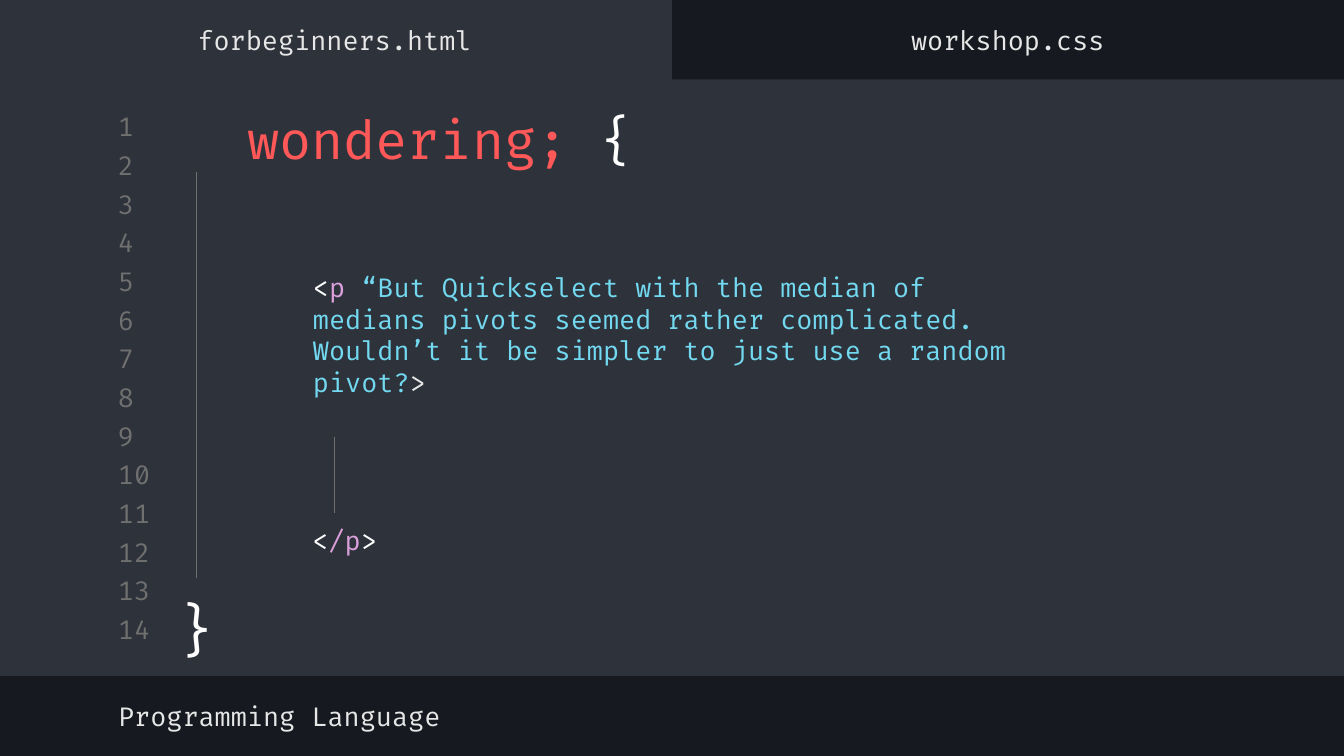
from pptx import Presentation
from pptx.dml.color import RGBColor
from pptx.enum.shapes import MSO_CONNECTOR as Connector, MSO_SHAPE as Preset
from pptx.enum.text import MSO_ANCHOR as Anchor, PP_ALIGN as Align
from pptx.oxml.ns import qn
from pptx.util import Inches, Pt
from lxml.etree import SubElement

THEME = {
    "font": "Fira Code",
    "dark": "16191F", "panel": "2E323B", "gray": "707070",
    "light": "E7E7E7", "white": "FFFFFF",
    "red": "FF5858", "purple": "DBA0DB", "blue": "72D9F0",
    "body": 14, "title": 28, "brace": 30, "line": 0.75,
}

PANELS = [(0, 0.59, 10, 4.44), (0, 0, 5, 0.65)]
GUIDES = [(1.46, 1.28, 4.3), (2.49, 3.25, 3.82)]
LINE_COUNT, FIRST_LINE, LAST_LINE = 14, 0.82, 4.56

QUOTE = ("“But Quickselect with the median of medians pivots seemed rather "
         "complicated. Wouldn’t it be simpler to just use a random pivot?")

TEXTS = [
    {"at": (1.74, 0.74, 4.42, 0.58), "size": "title",
     "spans": [("wondering; ", "red"), ("{", "white")]},
    {"at": (1.74, 1.72, 6.06, 1.54), "before": 10, "indent": 0.49,
     "spans": [("<", "white"), ("p ", "purple"), (QUOTE, "blue"), (">", "light")]},
    {"at": (1.19, 4.32, 0.55, 0.71), "size": "brace", "align": Align.CENTER,
     "anchor": Anchor.TOP, "spans": [("}", "white")]},
    {"at": (2.2, 3.8, 0.73, 0.44), "align": Align.CENTER, "anchor": Anchor.TOP,
     "spans": [("<", "white"), ("/p", "purple"), (">", "white")]},
    {"at": (0.78, 5.13, 5.32, 0.39), "spans": [("Programming Language", "light")]},
    {"at": (-0.01, 0.1, 5, 0.39), "align": Align.CENTER,
     "spans": [("forbeginners.html", "light")]},
    {"at": (5, 0.1, 5, 0.39), "align": Align.CENTER,
     "spans": [("workshop.css", "light")]},
]


def color(name):
    return RGBColor.from_string(THEME[name])


def add_panel(page, at):
    panel = page.shapes.add_shape(Preset.RECTANGLE, *map(Inches, at))
    panel.shadow.inherit = False
    panel.fill.solid()
    panel.fill.fore_color.rgb = color("panel")
    panel.line.fill.background()


def add_guide(page, x, top, bottom):
    guide = page.shapes.add_connector(
        Connector.STRAIGHT, *map(Inches, (x, top, x, bottom)))
    guide.line.color.rgb = color("gray")
    guide.line.width = Pt(THEME["line"])
    SubElement(guide._element.spPr, qn("a:effectLst"))


def add_text(page, at, spans, size="body", align=Align.LEFT,
             anchor=Anchor.MIDDLE, before=0, indent=0):
    frame = page.shapes.add_textbox(*map(Inches, at)).text_frame
    frame.word_wrap = True
    frame.vertical_anchor = anchor
    frame.margin_left = frame.margin_right = Inches(0.1)
    frame.margin_top = frame.margin_bottom = Inches(0.1)
    para = frame.paragraphs[0]
    para.alignment = align
    para.space_before = Pt(before)
    para.font.name = THEME["font"]
    para.font.size = Pt(THEME[size])
    para._p.get_or_add_pPr().set("marL", str(Inches(indent)))
    for text, tint in spans:
        span = para.add_run()
        span.text = text
        span.font.color.rgb = color(tint)


def main():
    """Build the code-editor slide."""
    deck = Presentation()
    deck.slide_width = Inches(10)
    deck.slide_height = deck.slide_width * 9 // 16
    page = deck.slides.add_slide(deck.slide_layouts[6])
    page.background.fill.solid()
    page.background.fill.fore_color.rgb = color("dark")

    for at in PANELS:
        add_panel(page, at)
    step = (LAST_LINE - FIRST_LINE) / (LINE_COUNT - 1)
    for index in range(LINE_COUNT):
        top = FIRST_LINE + index * step
        add_text(page, (0.78, top, 0.47, 0.24), [(str(index + 1), "gray")])
    for guide in GUIDES:
        add_guide(page, *guide)
    for text in TEXTS:
        add_text(page, **text)

    deck.save("out.pptx")


if __name__ == "__main__":
    main()
